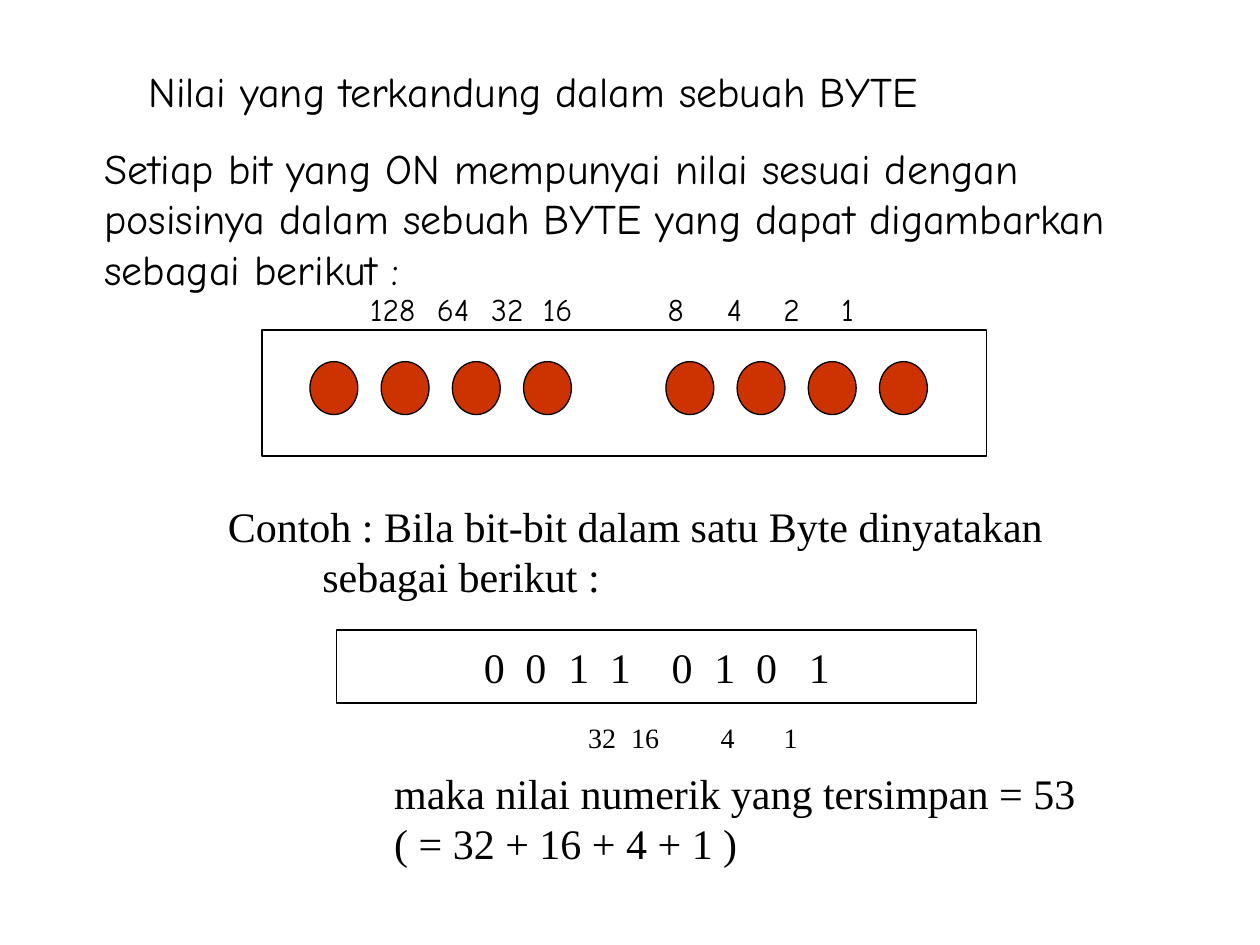
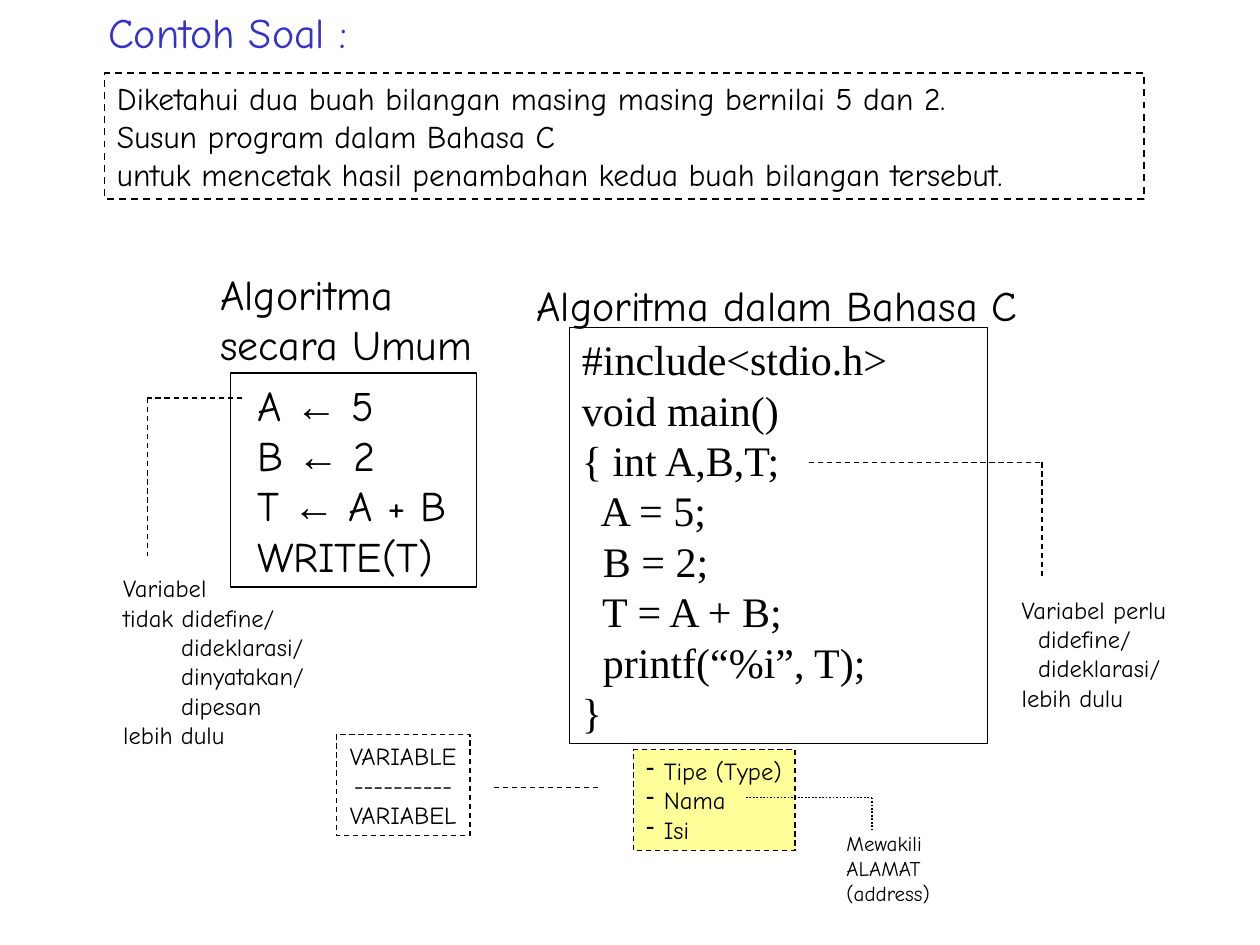
from lxml.etree import SubElement
from pptx import Presentation
from pptx.dml.color import RGBColor
from pptx.enum.dml import MSO_LINE_DASH_STYLE as Dash
from pptx.enum.shapes import MSO_CONNECTOR as Connector, MSO_SHAPE as Shape
from pptx.enum.text import MSO_ANCHOR as Anchor, MSO_AUTO_SIZE as AutoSize, PP_ALIGN as Align
from pptx.oxml.ns import qn
from pptx.util import Emu, Inches, Pt

# Shared style; places are (left, top, width, height) on a 10 x 7.5 grid of inches
WIDTH, HEIGHT = 10, 7.5
BLACK, BLUE, RED, YELLOW = "000000", "3333CC", "CC3300", "FFFF99"
HAND, SERIF, ARROW_FONT = "Comic Neue", "Times New Roman", "Arial"
ARROW = "←"
LARGE, MEDIUM, NOTE, SMALL = 24, 18, 14, 12
INSET = 0.1

# Content: each paragraph is a string, or (string, indent)
BYTE_TITLE = "Nilai yang terkandung dalam sebuah BYTE"
BYTE_INTRO = ("Setiap bit yang ON mempunyai nilai sesuai dengan posisinya dalam "
              "sebuah BYTE yang dapat digambarkan sebagai berikut :")
BIT_WEIGHTS = ["128", "64", "32", "16", "8", "4", "2", "1"]
WEIGHT_STOPS = [0.53, 0.96, 1.37, 2.36, 2.83, 3.28, 3.74]
BULB_SLOTS = [0, 1, 2, 3, 5, 6, 7, 8]
BULB_PITCH = 0.565
EXAMPLE = ["Contoh : Bila bit-bit dalam satu Byte dinyatakan",
           ("sebagai berikut :", 0.75)]
EXAMPLE_BITS = list("00110101")
BIT_STOPS = [0.33, 0.67, 1, 1.49, 1.83, 2.16, 2.58]
ON_WEIGHTS = ["32", "16", "4", "1"]
ON_STOPS = [0.34, 1.05, 1.55]
RESULT = ["maka nilai numerik yang tersimpan = 53", "( = 32 + 16 + 4 + 1 )"]

PROBLEM_TITLE = "Contoh Soal :"
PROBLEM = ["Diketahui dua buah bilangan masing masing bernilai 5 dan 2.",
           "Susun program dalam Bahasa C",
           "untuk mencetak hasil penambahan kedua buah bilangan tersebut."]
GENERAL_HEADING = ["Algoritma", "secara Umum"]
GENERAL_STEPS = ["A ← 5", "B ← 2", "T ← A + B", "WRITE(T)"]
C_HEADING = "Algoritma dalam Bahasa C"
C_CODE = """#include<stdio.h>
void main()
{ int A,B,T;
  A = 5;
  B = 2;
  T = A + B;
  printf(“%i”, T);
}""".split("\n")
UNDECLARED = ["Variabel", "tidak didefine/", ("dideklarasi/", 0.46),
              ("dinyatakan/", 0.46), ("dipesan", 0.46), "lebih dulu"]
DECLARED = ["Variabel perlu", ("didefine/", 0.13), ("dideklarasi/", 0.13), "lebih dulu"]
VARIABLE = ["VARIABLE", "----------", "VARIABEL"]
VARIABLE_PARTS = ["Tipe (Type)", "Nama", "Isi"]
ADDRESS = ["Mewakili", "ALAMAT", "(address)"]

# Leader lines: points joined in turn, width, dash
LEADERS = [
    ([(1.92, 3.16), (1.17, 3.16), (1.17, 4.41)], 0.75, Dash.DASH),
    ([(6.42, 3.67), (8.27, 3.67), (8.27, 4.58)], 0.75, Dash.DASH),
    ([(3.92, 6.25), (4.75, 6.25)], 0.75, Dash.DASH),
    ([(5.92, 6.33), (6.92, 6.33), (6.92, 6.58)], 1, Dash.ROUND_DOT),
]


def color(hex_code):
    return RGBColor.from_string(hex_code)


def place(at):
    return [Inches(length) for length in at]


def style_line(line, width=0.75, dash=None):
    line.color.rgb = color(BLACK)
    line.width = Pt(width)
    if dash:
        line.dash_style = dash


def write(holder, paragraphs, size, font=HAND, ink=BLACK, wrap=False, align=Align.LEFT,
          stops=(), left_inset=INSET, bullet=None, grow=True):
    """Fill a shape or text box with one-style paragraphs."""
    frame = holder.text_frame
    frame.word_wrap = wrap
    frame.auto_size = AutoSize.SHAPE_TO_FIT_TEXT if grow else AutoSize.NONE
    frame.vertical_anchor = Anchor.TOP if grow else Anchor.MIDDLE
    frame.margin_left = Inches(left_inset)
    for index, entry in enumerate(paragraphs):
        words, indent = entry if isinstance(entry, tuple) else (entry, 0)
        paragraph = frame.add_paragraph() if index else frame.paragraphs[0]
        paragraph.alignment = align
        properties = paragraph._p.get_or_add_pPr()
        properties.set("marL", str(Inches(indent)))
        if bullet:
            hang = Inches(0.14)
            properties.set("marL", str(hang))
            properties.set("indent", str(-hang))
            SubElement(properties, qn("a:buChar"), char=bullet)
        if stops:
            tabs = SubElement(properties, qn("a:tabLst"))
            for stop in stops:
                SubElement(tabs, qn("a:tab"), pos=str(Inches(stop)), algn="l")
        paragraph.font.size = Pt(size)
        paragraph.font.name = font
        paragraph.font.color.rgb = color(ink)
        before, arrow, after = words.partition(ARROW)
        for part in filter(None, (before, arrow, after)):
            run = paragraph.add_run()
            run.text = part
            if part == ARROW:
                run.font.name = ARROW_FONT


def add_text(slide, at, paragraphs, size, **style):
    write(slide.shapes.add_textbox(*place(at)), paragraphs, size, **style)


def add_figure(slide, at, kind=Shape.RECTANGLE, fill=None, width=0.75, dash=None):
    figure = slide.shapes.add_shape(kind, *place(at))
    figure.shadow.inherit = False
    if fill:
        figure.fill.solid()
        figure.fill.fore_color.rgb = color(fill)
    else:
        figure.fill.background()
    style_line(figure.line, width, dash)
    return figure


def add_leader(slide, points, width, dash):
    for start, end in zip(points, points[1:]):
        leader = slide.shapes.add_connector(Connector.STRAIGHT, *place(start + end))
        style_line(leader.line, width, dash)
        SubElement(leader._element.spPr, qn("a:effectLst"))


def build_byte_slide(slide):
    # Eight bulbs in two groups of four, framed
    for slot in BULB_SLOTS:
        add_figure(slide, (2.46 + slot * BULB_PITCH, 2.87, 0.38, 0.42), Shape.OVAL, RED)
    add_figure(slide, (2.08, 2.62, 5.75, 1))
    add_text(slide, (1.08, 0.47, 6.33, 0.5), [BYTE_TITLE], LARGE)
    add_text(slide, (0.73, 1.08, 8.77, 1.3), [BYTE_INTRO], LARGE, wrap=True)
    add_text(slide, (2.84, 2.25, 4.2, 0.4), ["\t".join(BIT_WEIGHTS)], MEDIUM,
             wrap=True, stops=WEIGHT_STOPS)

    # Worked example
    add_text(slide, (1.71, 3.92, 6.75, 0.9), EXAMPLE, LARGE, font=SERIF)
    write(add_figure(slide, (2.67, 5, 5.08, 0.58)), ["\t".join(EXAMPLE_BITS)], LARGE,
          font=SERIF, wrap=True, stops=BIT_STOPS, left_inset=1.17, grow=False)
    add_text(slide, (4.57, 5.67, 2.09, 0.37), ["\t".join(ON_WEIGHTS)], 16,
             font=SERIF, wrap=True, stops=ON_STOPS)
    add_text(slide, (3.03, 6.04, 5.61, 0.9), RESULT, LARGE, font=SERIF)


def build_problem_slide(slide):
    # Problem statement
    add_text(slide, (0.76, 0, 2.1, 0.5), [PROBLEM_TITLE], LARGE, ink=BLUE)
    write(add_figure(slide, (0.83, 0.58, 8.25, 1), width=1, dash=Dash.DASH),
          PROBLEM, MEDIUM, wrap=True)

    # Both algorithms
    add_text(slide, (1.65, 2.08, 2.2, 0.9), GENERAL_HEADING, LARGE)
    write(add_figure(slide, (1.83, 2.96, 1.95, 1.7)), GENERAL_STEPS, LARGE,
          wrap=True, left_inset=0.21)
    add_text(slide, (4.16, 2.17, 4.13, 0.5), [C_HEADING], LARGE, wrap=True)
    write(add_figure(slide, (4.52, 2.6, 3.32, 3.3)), C_CODE, LARGE, font=SERIF, wrap=True)

    # Notes on variables
    add_text(slide, (0.88, 4.5, 1.64, 1.5), UNDECLARED, NOTE)
    add_text(slide, (8.01, 4.67, 1.42, 1.04), DECLARED, NOTE)
    write(add_figure(slide, (2.67, 5.83, 1.06, 0.8), dash=Dash.DASH),
          VARIABLE, NOTE, align=Align.CENTER)
    write(add_figure(slide, (5.03, 5.95, 1.28, 0.8), fill=YELLOW, dash=Dash.DASH),
          VARIABLE_PARTS, NOTE, bullet="-")
    for leader in LEADERS:
        add_leader(slide, *leader)
    add_text(slide, (6.62, 6.54, 0.86, 0.7), ADDRESS, SMALL)


def main():
    deck = Presentation()
    deck.slide_width, deck.slide_height = Emu(Inches(WIDTH)), Emu(Inches(HEIGHT))
    for build in (build_byte_slide, build_problem_slide):
        build(deck.slides.add_slide(deck.slide_layouts[6]))
    deck.save("out.pptx")


if __name__ == "__main__":
    main()
